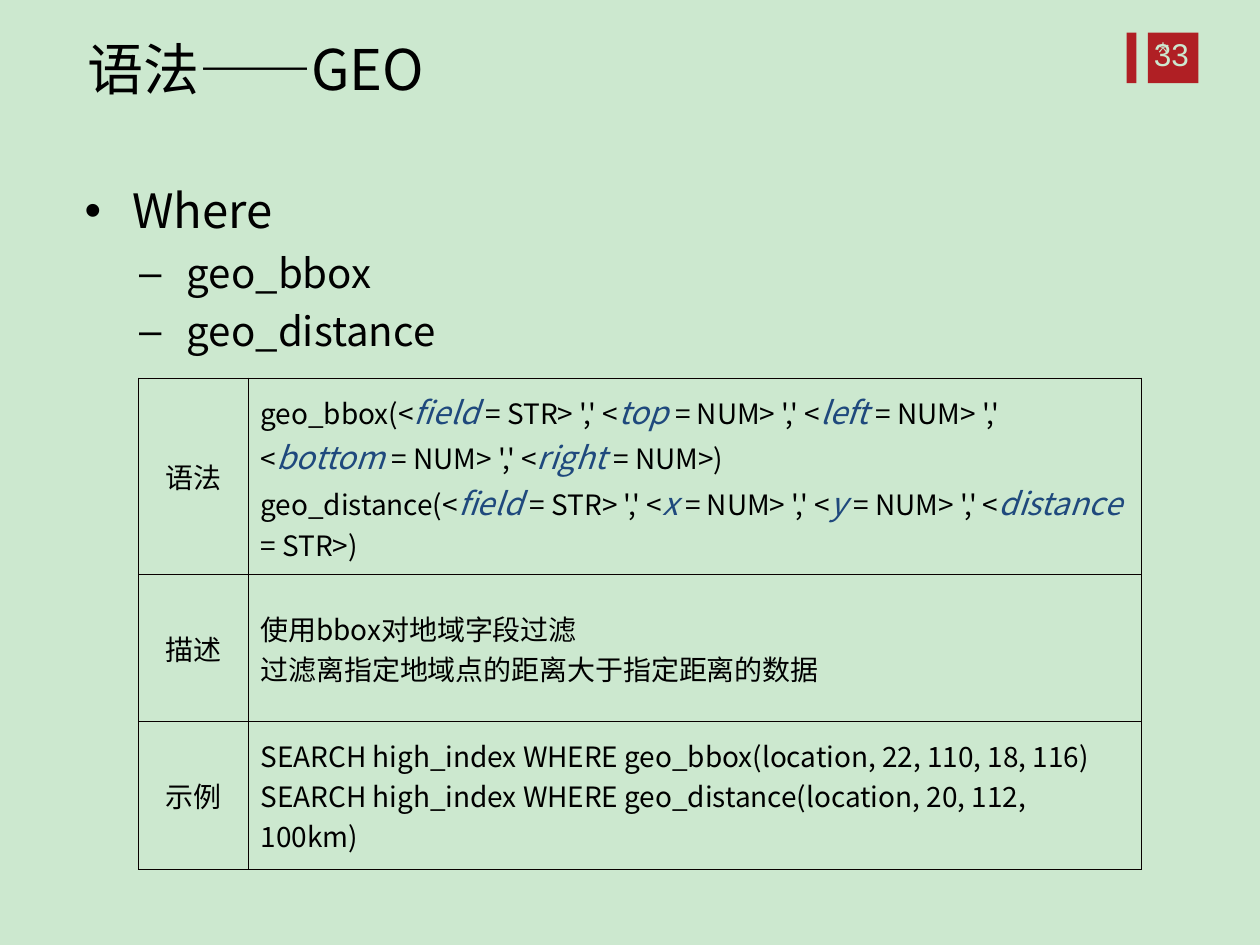
import pptx
import pptx.dml.color
import pptx.enum.shapes
import pptx.enum.text
import pptx.oxml
import pptx.oxml.ns
import pptx.util
from pptx.util import Cm

COLORS = {
    "page": "CCE8CF",
    "badge": "B01F24",
    "text": "000000",
    "field": "1F497D",
    "border": "080000",
}
FONT = "Noto Sans CJK SC"
ALIGN = pptx.enum.text.PP_ALIGN
MIDDLE = pptx.enum.text.MSO_ANCHOR.MIDDLE
TOP = pptx.enum.text.MSO_ANCHOR.TOP

# Pieces between bars are parameter names, set in coloured italics.
ROWS = [
    ("语法", [
        "geo_bbox(<|field |= STR> ',' <|top |= NUM> ',' <|left |= NUM> ',' <"
        "|bottom |= NUM> ',' <|right |= NUM>)",
        "geo_distance(<|field |= STR> ',' <|x |= NUM> ',' <|y |= NUM> ',' <"
        "|distance |= STR>)",
    ]),
    ("描述", [
        "使用bbox对地域字段过滤",
        "过滤离指定地域点的距离大于指定距离的数据",
    ]),
    ("示例", [
        "SEARCH high_index WHERE geo_bbox(location, 22, 110, 18, 116)",
        "SEARCH high_index WHERE geo_distance(location, 20, 112, 100km)",
    ]),
]


def rgb(name):
    return pptx.dml.color.RGBColor.from_string(COLORS[name])


def add_span(para, text, size=16, font=FONT, color="text", italic=False):
    span = para.add_run()
    span.text = text
    span.font.size = pptx.util.Pt(size)
    span.font.name = font
    span.font.italic = italic
    span.font.color.rgb = rgb(color)
    east_asian = pptx.oxml.parse_xml(
        f'<a:ea {pptx.oxml.ns.nsdecls("a")} typeface="{font}"/>')
    span.font._element.find(pptx.oxml.ns.qn("a:latin")).addnext(east_asian)


def paragraphs(frame, count):
    """Yield count paragraphs, beginning with the one the frame already has."""
    yield frame.paragraphs[0]
    for _ in range(count - 1):
        yield frame.add_paragraph()


class Page:
    def __init__(self, deck):
        self.slide = deck.slides.add_slide(deck.slide_layouts[1])
        fill = self.slide.background.fill
        fill.solid()
        fill.fore_color.rgb = rgb("page")

    def place(self, box, left, top, width, height):
        box.left, box.top = Cm(left), Cm(top)
        box.width, box.height = Cm(width), Cm(height)
        frame = box.text_frame
        frame.word_wrap = True
        frame.auto_size = pptx.enum.text.MSO_AUTO_SIZE.NONE
        frame.vertical_anchor = TOP
        return frame

    def bar(self, left, top, width, height):
        box = self.slide.shapes.add_shape(
            pptx.enum.shapes.MSO_SHAPE.RECTANGLE,
            Cm(left), Cm(top), Cm(width), Cm(height))
        box.shadow.inherit = False
        box.fill.solid()
        box.fill.fore_color.rgb = rgb("badge")
        box.line.fill.background()

    def label(self, text, left, top, width, height, **style):
        box = self.slide.shapes.add_textbox(0, 0, 0, 0)
        frame = self.place(box, left, top, width, height)
        add_span(frame.paragraphs[0], text, **style)

    def title(self, text, *bounds):
        para = self.place(self.slide.shapes.title, *bounds).paragraphs[0]
        para.alignment = ALIGN.LEFT
        para.space_before = pptx.util.Pt(8)
        add_span(para, text, size=32)

    def bullets(self, items, *bounds):
        """Fill the body with (level, text) items."""
        frame = self.place(self.slide.placeholders[1], *bounds)
        for para, (level, text) in zip(paragraphs(frame, len(items)), items):
            para.level = level
            para.space_before = pptx.util.Pt((6.8, 5.8)[level])
            properties = para._p.get_or_add_pPr()
            properties.set("marL", str(Cm((0.96, 2.06)[level])))
            properties.set("indent", str(Cm(-0.96)))
            add_span(para, text, size=(27, 23)[level])

    def table(self, rows, left, top, widths, heights):
        table = self.slide.shapes.add_table(
            len(rows), len(widths), Cm(left), Cm(top),
            Cm(sum(widths)), Cm(sum(heights))).table
        table.first_row = table.horz_banding = False
        for column, width in zip(table.columns, widths):
            column.width = Cm(width)
        for row, height, (heading, lines) in zip(table.rows, heights, rows):
            row.height = Cm(height)
            self.cell(row.cells[0], [heading], ALIGN.CENTER)
            self.cell(row.cells[1], lines, ALIGN.LEFT)

    def cell(self, cell, lines, alignment):
        cell.vertical_anchor = MIDDLE
        properties = cell._tc.get_or_add_tcPr()
        for side in ("lnL", "lnR", "lnT", "lnB"):
            properties.append(pptx.oxml.parse_xml(
                f'<a:{side} {pptx.oxml.ns.nsdecls("a")} '
                f'w="{pptx.util.Pt(0.45)}"><a:solidFill>'
                f'<a:srgbClr val="{COLORS["border"]}"/>'
                f'</a:solidFill></a:{side}>'))
        cell.fill.background()
        for para, line in zip(paragraphs(cell.text_frame, len(lines)), lines):
            para.alignment = alignment
            for index, piece in enumerate(line.split("|")):
                if index % 2:
                    add_span(para, piece, size=18, color="field", italic=True)
                else:
                    add_span(para, piece)


def main():
    deck = pptx.Presentation()
    deck.slide_width, deck.slide_height = Cm(25.4), Cm(19.05)
    page = Page(deck)
    page.bar(23.14, 0.66, 1.02, 1.02)
    page.bar(22.71, 0.66, 0.2, 1.02)
    page.label("*", 23.06, 0.58, 1.65, 1.32,
               size=18, font="Cabin", color="page")
    page.bullets([(0, "Where"), (1, "geo_bbox"), (1, "geo_distance")],
                 1.45, 3.53, 22.45, 13.41)
    page.title("语法——GEO", 1.5, 0.56, 18, 1.73)
    page.label("33", 23.01, 0.58, 1.65, 1.32,
               size=18, font="Arial", color="page")
    page.table(ROWS, 2.79, 7.62, widths=(2.21, 18.01),
               heights=(3.96, 2.97, 2.97))
    deck.save("out.pptx")


if __name__ == "__main__":
    main()
